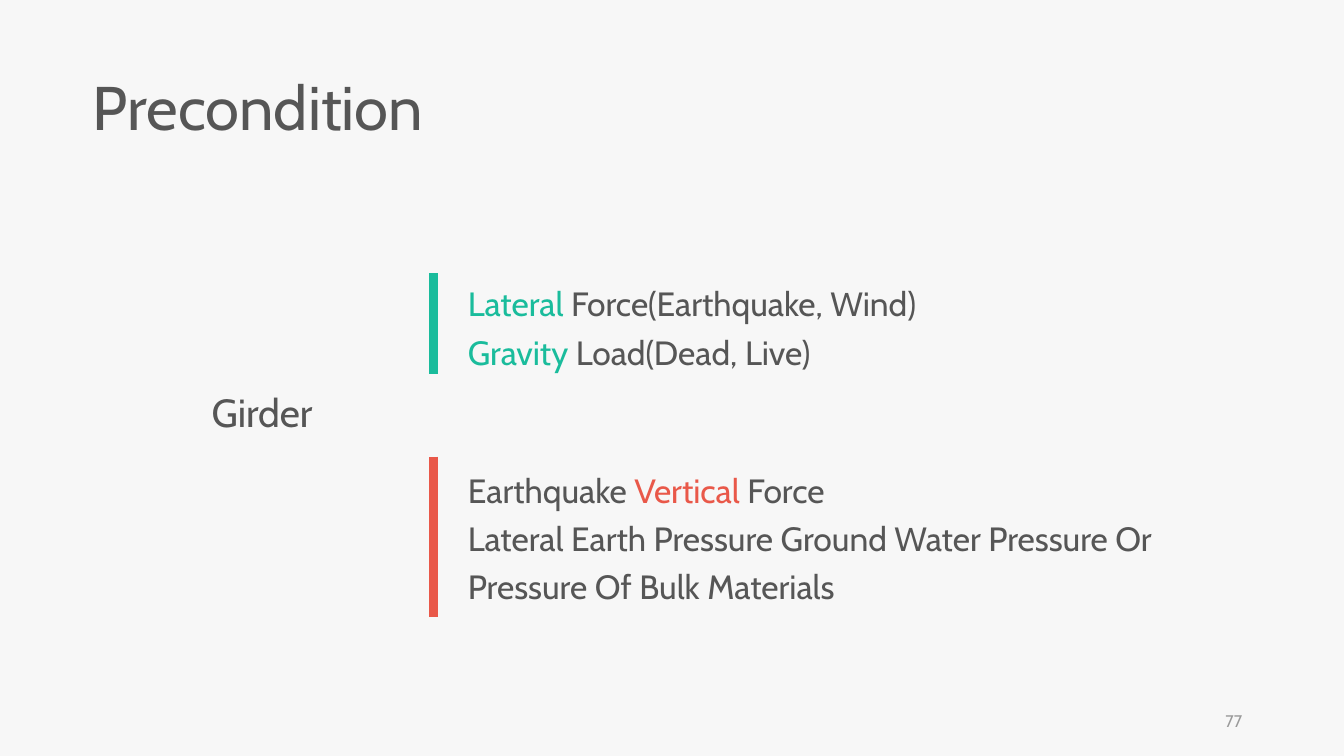
from lxml import etree
from pptx import Presentation
from pptx.dml.color import RGBColor
from pptx.enum.shapes import MSO_CONNECTOR
from pptx.enum.text import MSO_ANCHOR, MSO_AUTO_SIZE, PP_ALIGN
from pptx.oxml.ns import qn
from pptx.util import Inches, Pt

STRAIGHT = MSO_CONNECTOR.STRAIGHT
TOP, MIDDLE = MSO_ANCHOR.TOP, MSO_ANCHOR.MIDDLE
LEFT, RIGHT = PP_ALIGN.LEFT, PP_ALIGN.RIGHT
GROW, FIXED = MSO_AUTO_SIZE.SHAPE_TO_FIT_TEXT, MSO_AUTO_SIZE.NONE

GREY, PALE = "565656", "9A9A9A"
GREEN, RED = "1ABC9C", "E95849"
BACKGROUND = "F7F7F7"


def color(value):
    return RGBColor.from_string(value)


class Page:
    """Holds the slide and its text style."""

    font = "Cabin"

    def __init__(self, deck):
        self.slide = deck.slides.add_slide(deck.slide_layouts[5])
        fill = self.slide.background.fill
        fill.solid()
        fill.fore_color.rgb = color(BACKGROUND)

    def add_spans(self, box, paragraphs, size, spacing, align=LEFT):
        """Fill a box; each paragraph is a list of (text, colour) spans."""
        frame = box.text_frame
        for index, spans in enumerate(paragraphs):
            para = frame.add_paragraph() if index else frame.paragraphs[0]
            para.alignment = align
            para.line_spacing = spacing
            para.space_before = Pt(0)
            for text, tint in spans:
                span = para.add_run()
                span.text = text
                span.font.name = self.font
                span.font.size = Pt(size)
                span.font.color.rgb = color(tint)

    def set_frame(self, box, anchor=TOP, wrap=True, inset=0, fit=GROW):
        frame = box.text_frame
        frame.margin_left, frame.margin_right = Inches(inset), Inches(0.1)
        frame.margin_top = frame.margin_bottom = Inches(0.05)
        frame.vertical_anchor = anchor
        frame.word_wrap = wrap
        frame.auto_size = fit

    def add_title(self, text, left, top, width, height):
        box = self.slide.shapes.title
        box.left, box.top = Inches(left), Inches(top)
        box.width, box.height = Inches(width), Inches(height)
        self.set_frame(box)
        self.add_spans(box, [[(text, GREY)]], 44, 0.9)

    def add_text(self, paragraphs, left, top, width, height, size,
                 spacing=1.2, align=LEFT, **layout):
        box = self.slide.shapes.add_textbox(
            Inches(left), Inches(top), Inches(width), Inches(height))
        self.set_frame(box, **layout)
        self.add_spans(box, paragraphs, size, spacing, align)

    def add_bar(self, left, top, bottom, tint):
        bar = self.slide.shapes.add_connector(
            STRAIGHT, Inches(left), Inches(top), Inches(left), Inches(bottom))
        bar.line.color.rgb = color(tint)
        bar.line.width = Pt(6)
        etree.SubElement(bar._element.spPr, qn("a:effectLst"))


def main():
    deck = Presentation()
    deck.slide_width, deck.slide_height = Inches(13.33), Inches(7.5)
    page = Page(deck)

    # Title and page number
    page.add_title("Precondition", 0.92, 0.72, 4.9, 0.77)
    page.add_text([[("77", PALE)]], 9.42, 6.95, 3, 0.4, 12, spacing=1,
                  align=RIGHT, anchor=MIDDLE, inset=0.1, fit=FIXED)

    # Member and the two groups of loads
    page.add_text([[("Girder", GREY)]], 2.1, 3.71, 1.11, 0.61, 28, wrap=False)
    page.add_text([[("Lateral ", GREEN), ("Force(Earthquake, Wind)", GREY)],
                   [("Gravity ", GREEN), ("Load(Dead, Live)", GREY)]],
                  4.64, 2.68, 4.59, 1.03, 24, wrap=False)
    page.add_text([[("Earthquake ", GREY), ("Vertical", RED), (" Force", GREY)],
                   [("Lateral Earth Pressure Ground Water Pressure Or "
                     "Pressure Of Bulk Materials", GREY)]],
                  4.64, 4.53, 6.94, 1.56, 24)

    # Coloured bars beside the groups
    page.add_bar(4.3, 2.71, 3.71, GREEN)
    page.add_bar(4.3, 4.53, 6.12, RED)

    deck.save("out.pptx")


if __name__ == "__main__":
    main()
